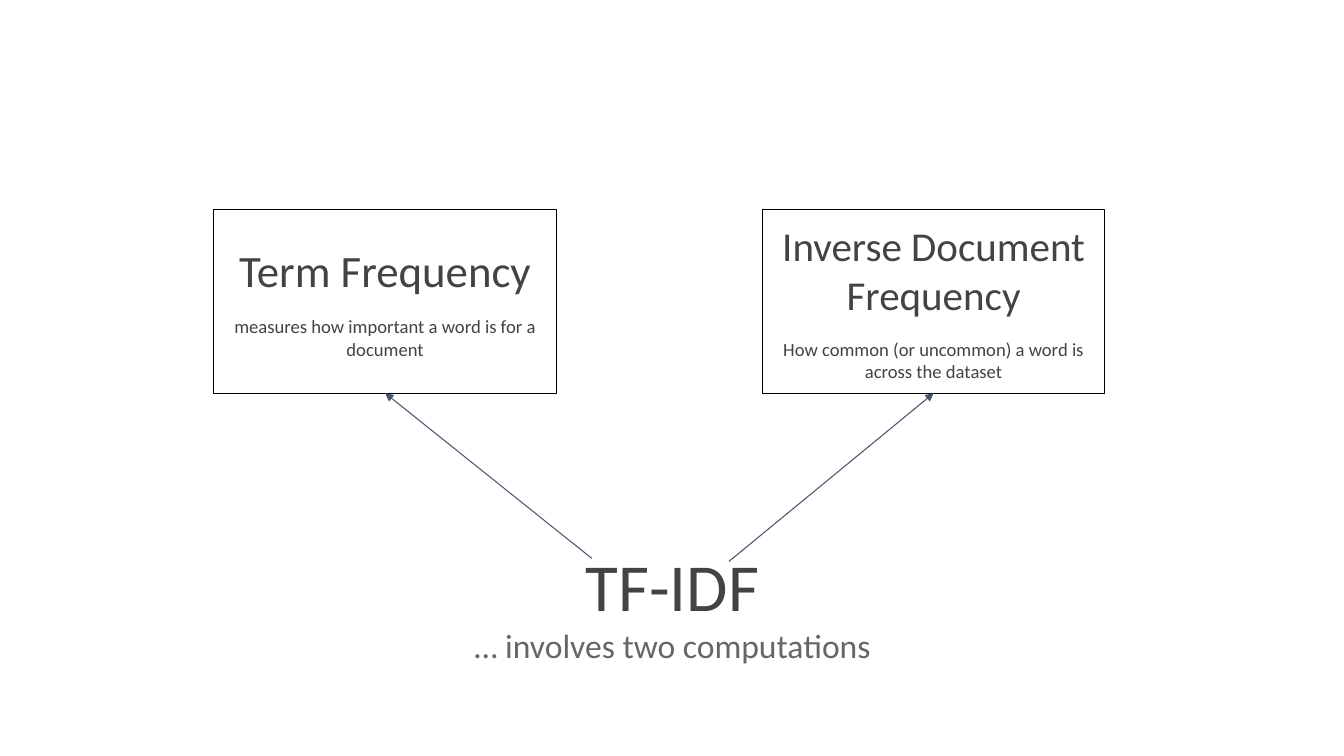
"""Build a slide that splits TF-IDF into its two computations."""
import pptx
import pptx.dml.color
import pptx.enum.shapes
import pptx.enum.text
import pptx.oxml
import pptx.oxml.ns
import pptx.util

Inches = pptx.util.Inches
Pt = pptx.util.Pt

COLORS = {
    "heading": "434343",
    "subtitle": "666666",
    "border": "000000",
    "arrow": "44546A",
}
FRAME_FORMAT = {
    "word_wrap": True,
    "auto_size": pptx.enum.text.MSO_AUTO_SIZE.NONE,
    "vertical_anchor": pptx.enum.text.MSO_ANCHOR.MIDDLE,
    "margin_left": Inches(0.13),
    "margin_top": Inches(0.13),
    "margin_right": Inches(0.13),
    "margin_bottom": Inches(0.13),
}
BOX_TOP, BOX_WIDTH, BOX_HEIGHT = 2.08, 3.4, 1.82
COMPUTATIONS = [
    {
        "left": 2.12,
        "heading": "Term Frequency",
        "size": 32,
        "detail": "measures how important a word is for a document",
        "arrow_start": (5.87, 5.54),
    },
    {
        "left": 7.56,
        "heading": "Inverse Document Frequency",
        "size": 29.3,
        "detail": "How common (or uncommon) a word is across the dataset",
        "arrow_start": (7.23, 5.57),
    },
]


def color(name):
    return pptx.dml.color.RGBColor.from_string(COLORS[name])


def apply_format(target, values):
    for name, value in values.items():
        setattr(target, name, value)


def write_lines(shape, lines):
    frame = shape.text_frame
    apply_format(frame, FRAME_FORMAT)
    for index, (text, size, color_name, space_before) in enumerate(lines):
        para = frame.add_paragraph() if index else frame.paragraphs[0]
        apply_format(para, {
            "alignment": pptx.enum.text.PP_ALIGN.CENTER,
            "space_before": Pt(space_before),
        })
        span = para.add_run()
        span.text = text
        apply_format(span.font, {"name": "Calibri", "size": Pt(size)})
        span.font.color.rgb = color(color_name)


def style_line(line, color_name):
    line.color.rgb = color(color_name)
    line.width = Pt(0.75)


def add_title(page):
    title = page.shapes.title
    apply_format(title, {
        "left": Inches(3.53),
        "top": Inches(5.09),
        "width": Inches(6.28),
        "height": Inches(1.82),
    })
    write_lines(title, [
        ("TF-IDF", 48, "heading", 0),
        ("… involves two computations", 24, "subtitle", 0),
    ])


def add_box(page, computation):
    box = page.shapes.add_shape(
        pptx.enum.shapes.MSO_SHAPE.RECTANGLE,
        Inches(computation["left"]), Inches(BOX_TOP),
        Inches(BOX_WIDTH), Inches(BOX_HEIGHT))
    box.shadow.inherit = False
    box.fill.background()
    style_line(box.line, "border")
    write_lines(box, [
        (computation["heading"], computation["size"], "heading", 0),
        (computation["detail"], 13.3, "heading", 13.3),
    ])
    return box


def add_arrow(page, start, box):
    x, y = start
    arrow = page.shapes.add_connector(
        pptx.enum.shapes.MSO_CONNECTOR.STRAIGHT,
        Inches(x), Inches(y), box.left + box.width // 2, box.top + box.height)
    arrow.end_connect(box, 2)
    style_line(arrow.line, "arrow")
    properties = arrow.element.spPr
    tail = pptx.oxml.parse_xml(
        f'<a:tailEnd {pptx.oxml.ns.nsdecls("a")} type="triangle"/>')
    properties.find(pptx.oxml.ns.qn("a:ln")).append(tail)
    properties.append(pptx.oxml.parse_xml(
        f'<a:effectLst {pptx.oxml.ns.nsdecls("a")}/>'))


def main():
    deck = pptx.Presentation()
    deck.slide_width = Inches(13.33)
    deck.slide_height = Inches(7.5)
    page = deck.slides.add_slide(deck.slide_layouts.get_by_name("Title Only"))
    add_title(page)
    for computation in COMPUTATIONS:
        box = add_box(page, computation)
        add_arrow(page, computation["arrow_start"], box)
    deck.save("out.pptx")


if __name__ == "__main__":
    main()
